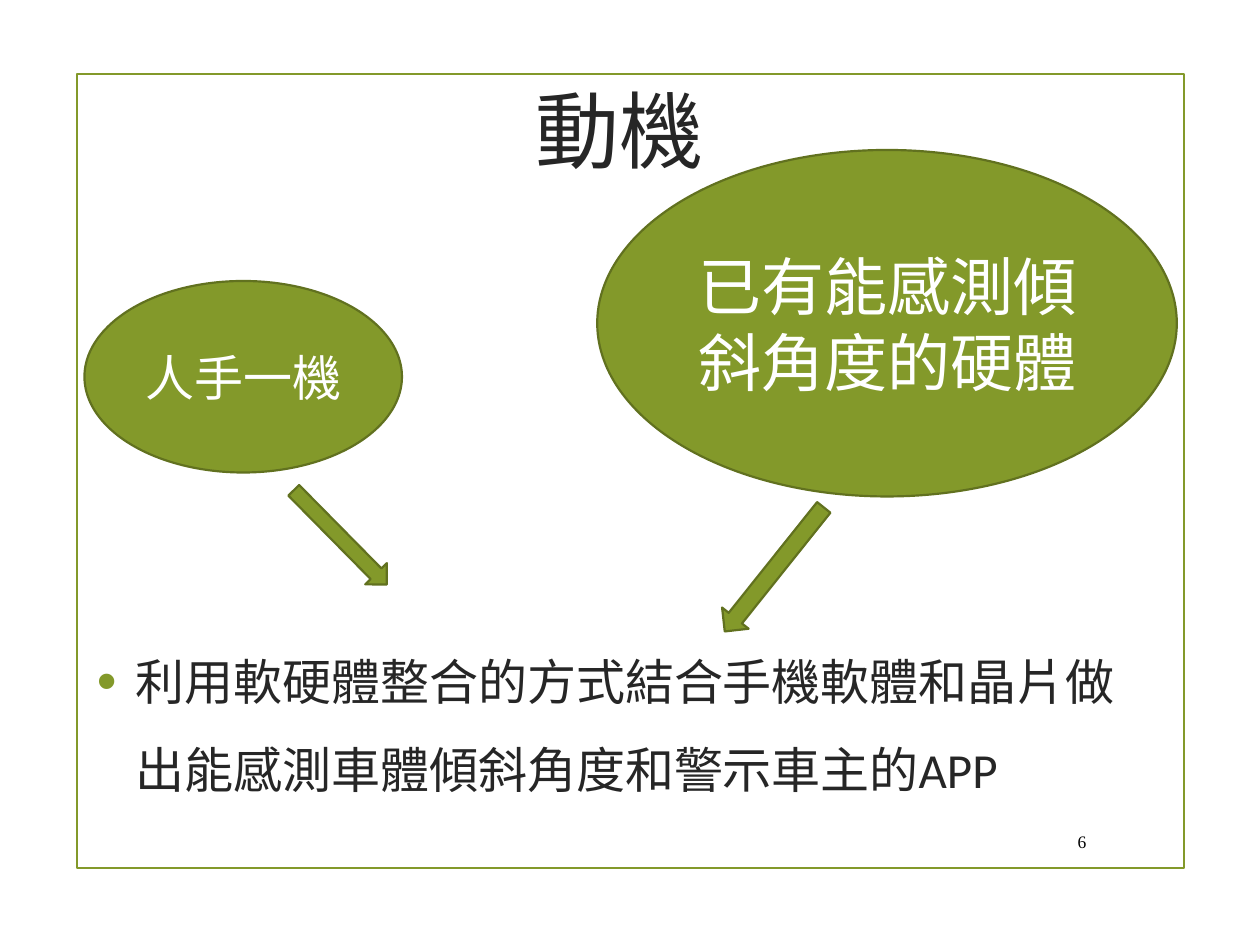
from collections import namedtuple

from lxml.etree import SubElement
from pptx import Presentation
from pptx.dml.color import RGBColor
from pptx.enum.shapes import MSO_SHAPE as Preset
from pptx.enum.text import MSO_ANCHOR as Anchor, PP_ALIGN as Align
from pptx.oxml.ns import qn
from pptx.util import Inches, Pt

COLORS = {
    "green": "83992A",
    "dark_green": "61711F",
    "text": "262626",
    "black": "000000",
    "white": "FFFFFF",
}
COLUMNS, ROWS = 100, 75
WIDTH, HEIGHT = Inches(10), Inches(7.5)

Box = namedtuple("Box", "column row columns rows")


def color(name):
    return RGBColor.from_string(COLORS[name])


def place(box):
    """Turn a box of grid units into left, top, width and height."""
    column, row = WIDTH / COLUMNS, HEIGHT / ROWS
    return (int(box.column * column), int(box.row * row),
            int(box.columns * column), int(box.rows * row))


def add_text(shape, text, size, color_name, align=Align.CENTER,
             anchor=Anchor.MIDDLE, font="Calibri"):
    frame = shape.text_frame
    frame.word_wrap = True
    frame.vertical_anchor = anchor
    paragraph = frame.paragraphs[0]
    paragraph.alignment = align
    run = paragraph.add_run()
    run.text = text
    run.font.size = Pt(size)
    run.font.name = font
    run.font.color.rgb = color(color_name)
    properties = run._r.get_or_add_rPr()
    properties.set("lang", "zh-TW")
    return paragraph


def add_preset(slide, preset, box, fill="green", line="dark_green"):
    shape = slide.shapes.add_shape(preset, *place(box))
    shape.shadow.inherit = False
    if fill:
        shape.fill.solid()
        shape.fill.fore_color.rgb = color(fill)
    else:
        shape.fill.background()
    shape.line.color.rgb = color(line)
    shape.line.width = Pt(1.25)
    return shape


def add_text_box(slide, box, *text, **style):
    return add_text(slide.shapes.add_textbox(*place(box)), *text, **style)


def add_bullet(paragraph):
    properties = paragraph._p.get_or_add_pPr()
    properties.set("marL", str(Inches(0.31)))
    properties.set("indent", str(-Inches(0.31)))
    bullet_color = SubElement(properties, qn("a:buClr"))
    SubElement(bullet_color, qn("a:srgbClr"), val=COLORS["green"])
    SubElement(properties, qn("a:buSzPct"), val="115000")
    SubElement(properties, qn("a:buFont"), typeface="Arial")
    SubElement(properties, qn("a:buChar"), char="•")


def add_conclusion(slide, box, text):
    paragraph = add_text_box(slide, box, text, 28, "text",
                             align=Align.LEFT, anchor=Anchor.TOP)
    paragraph.line_spacing = 1.5
    paragraph.space_before = Pt(5.6)
    paragraph.space_after = Pt(6)
    add_bullet(paragraph)


def add_reason(slide, box, text, size):
    add_text(add_preset(slide, Preset.OVAL, box), text, size, "white")


def add_arrow(slide, box, rotation):
    add_preset(slide, Preset.DOWN_ARROW, box).rotation = rotation


def build_motivation_slide(slide):
    add_preset(slide, Preset.RECTANGLE, Box(6.1, 5.9, 87.9, 63),
               fill=None, line="green")
    add_text_box(slide, Box(82.9, 65.2, 4.3, 3.1), "6", 10, "black",
                 align=Align.RIGHT, font="Times New Roman")
    add_text_box(slide, Box(6.7, 1.4, 85, 17.6), "動機", 48, "text")
    add_conclusion(slide, Box(6.7, 48.9, 85, 16.6),
                   "利用軟硬體整合的方式結合手機軟體和晶片做出能感測車體傾斜角度和警示車主的APP")
    add_reason(slide, Box(6.7, 22.3, 25.2, 15.2), "人手一機", 28)
    add_reason(slide, Box(47.4, 11.9, 46, 27.5), "已有能感測傾斜角度的硬體", 36)
    add_arrow(slide, Box(60.1, 38.9, 2.7, 12.6), 38.6)
    add_arrow(slide, Box(25.8, 37.4, 2.4, 10.5), 315.4)


def main():
    presentation = Presentation()
    presentation.slide_width, presentation.slide_height = WIDTH, HEIGHT
    build_motivation_slide(
        presentation.slides.add_slide(presentation.slide_layouts[6]))
    presentation.save("out.pptx")


if __name__ == "__main__":
    main()
